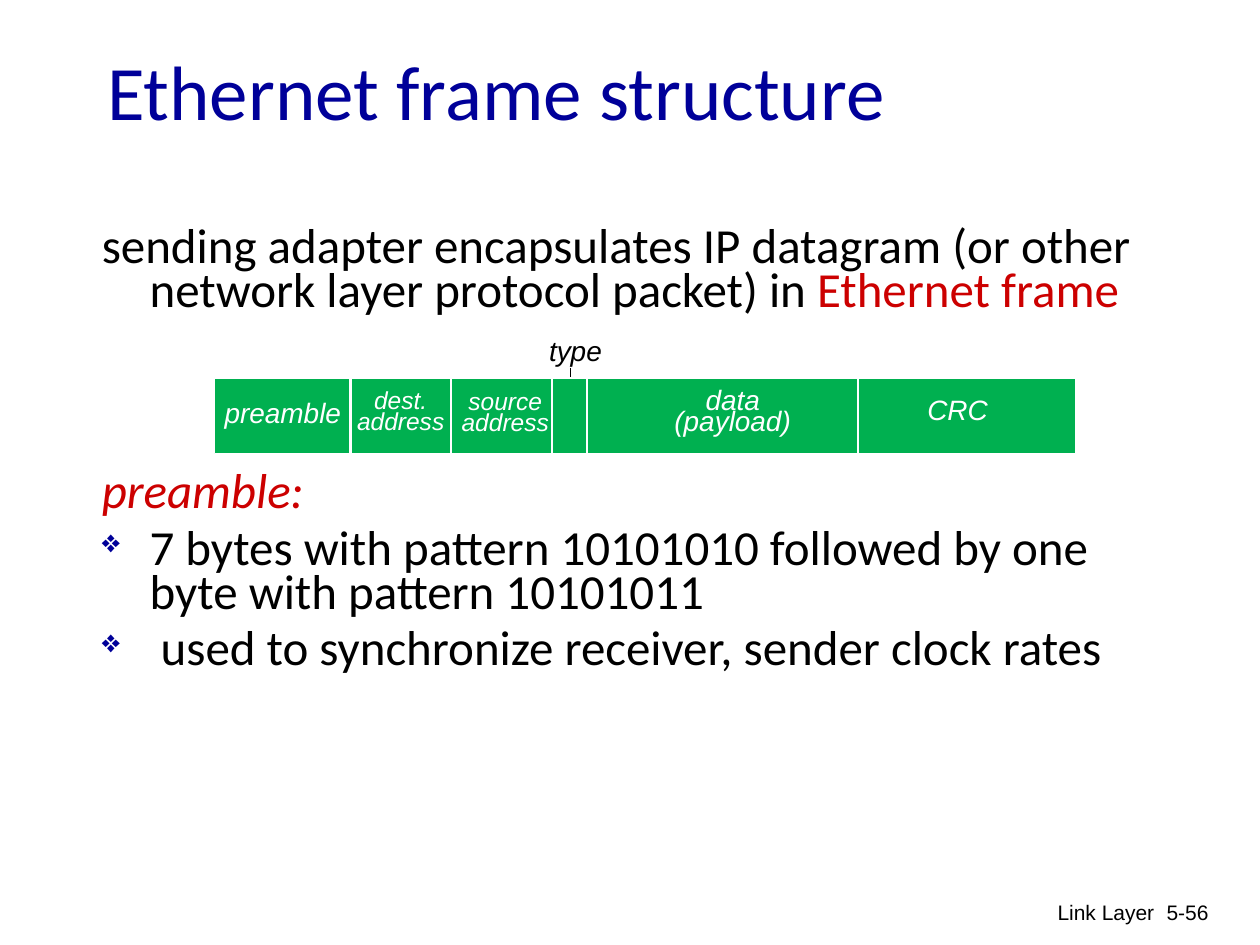
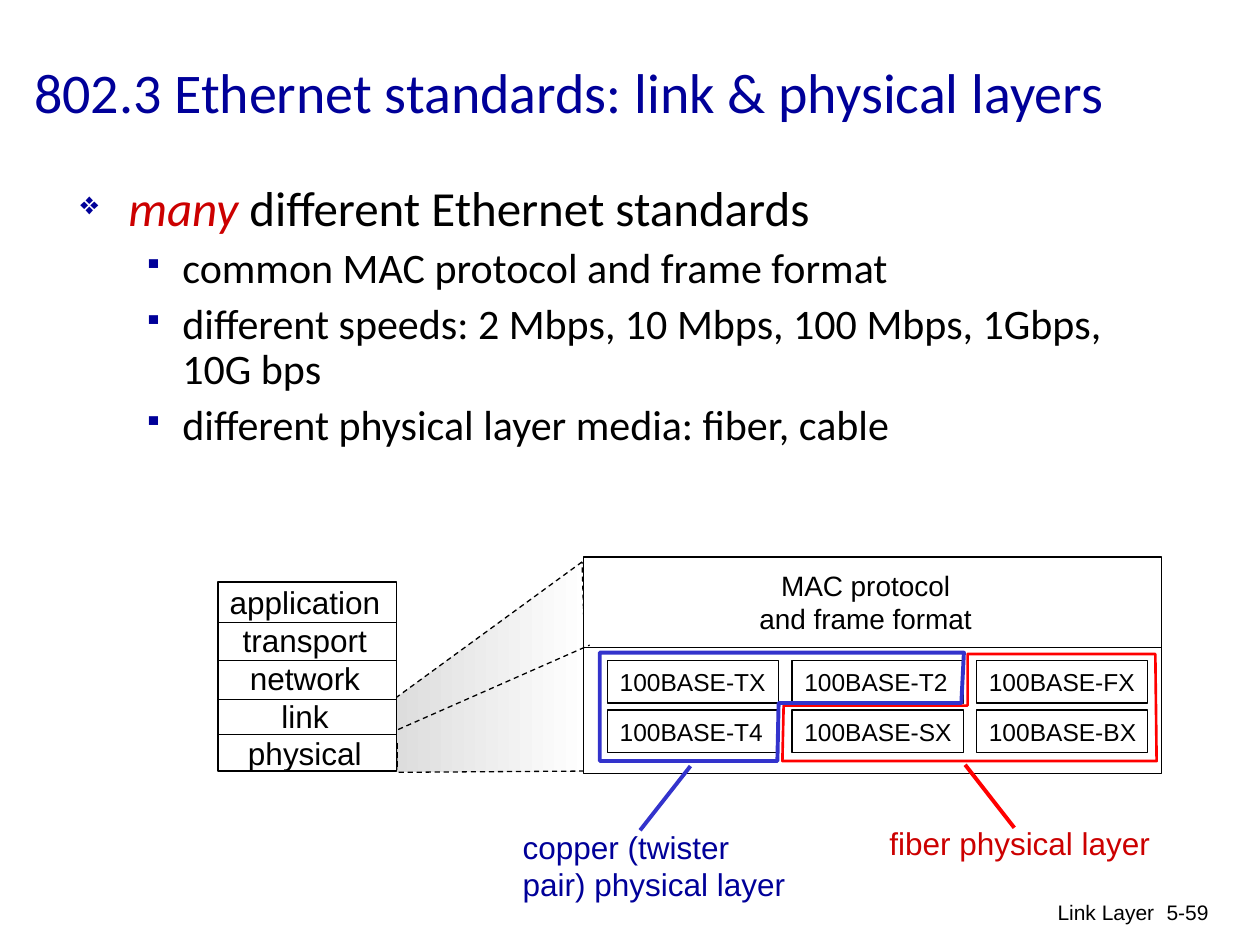
from lxml.etree import SubElement
from pptx import Presentation
from pptx.dml.color import RGBColor
from pptx.enum.dml import MSO_LINE_DASH_STYLE as Dash
from pptx.enum.shapes import MSO_CONNECTOR as Connector, MSO_SHAPE as Shape
from pptx.enum.text import MSO_ANCHOR as Anchor, PP_ALIGN as Align
from pptx.oxml.ns import qn
from pptx.util import Emu, Inches, Pt

COLUMNS, ROWS = 100, 75
NAVY, RED, BLACK, WHITE = "000099", "CC0000", "000000", "FFFFFF"
GREEN, FIBER, COPPER = "00B050", "FF0000", "3333CC"
BULLETS = {0: ("❖", 0.38, 0.38), 1: ("▪", 0.81, 0.31)}


def color(hex_code):
    return RGBColor.from_string(hex_code)


def set_indent(paragraph, margin, hanging):
    properties = paragraph._p.get_or_add_pPr()
    properties.set("marL", str(Inches(margin)))
    properties.set("indent", str(-Inches(hanging)))
    return properties


def add_bullet(paragraph, level):
    mark, margin, hanging = BULLETS[level]
    properties = set_indent(paragraph, margin, hanging)
    bullet_color = SubElement(properties, qn("a:buClr"))
    SubElement(bullet_color, qn("a:srgbClr"), val=NAVY)
    SubElement(properties, qn("a:buSzPct"), val="65000")
    SubElement(properties, qn("a:buChar"), char=mark)
    paragraph.level = level


def write(frame, paragraphs, size=16, font="Arial", ink=BLACK, italic=False,
          align=Align.LEFT, spacing=None, before=0, levels=None, hanging=0, wrap=True):
    """Fill a frame; a paragraph is a string or a list of (text, ink, italic) runs."""
    frame.word_wrap = wrap
    for index, content in enumerate(paragraphs):
        paragraph = frame.add_paragraph() if index else frame.paragraphs[0]
        level = levels[index] if levels else None
        if level is not None:
            add_bullet(paragraph, level)
        elif hanging:
            set_indent(paragraph, hanging, hanging)
        paragraph.alignment = align
        paragraph.space_before = Pt(before - (level or 0) if index else 0)
        if spacing:
            paragraph.line_spacing = spacing
        runs = [(content, ink, italic)] if isinstance(content, str) else content
        for words, run_ink, run_italic in runs:
            run = paragraph.add_run()
            run.text = words
            run.font.name = font
            run.font.size = Pt(size - 4 if level else size)
            run.font.italic = run_italic
            run.font.color.rgb = color(run_ink)


class Deck:
    """Places elements on the current slide; positions are grid columns and rows."""

    def __init__(self):
        self.show = Presentation()
        self.show.slide_width, self.show.slide_height = Inches(10), Inches(7.5)
        self.slide = None

    def x(self, columns):
        return Emu(round(self.show.slide_width * columns / COLUMNS))

    def y(self, rows):
        return Emu(round(self.show.slide_height * rows / ROWS))

    def box(self, left, top, width, height):
        return self.x(left), self.y(top), self.x(width), self.y(height)

    def new_slide(self, title, area, size, number):
        self.slide = self.show.slides.add_slide(self.show.slide_layouts[5])
        heading = self.slide.shapes.title
        heading.left, heading.top, heading.width, heading.height = self.box(*area)
        heading.text_frame.vertical_anchor = Anchor.MIDDLE
        write(heading.text_frame, [title], size=size, font="Calibri", ink=NAVY)
        self.text(["Link Layer"], 60.9, 70.9, 31.7, 5, size=12, align=Align.RIGHT)
        self.text([number], 89.5, 70.9, 7.4, 5, size=12, align=Align.RIGHT)

    def text(self, paragraphs, left, top, width, height, **style):
        area = self.slide.shapes.add_textbox(*self.box(left, top, width, height))
        write(area.text_frame, paragraphs, **style)

    def body(self, paragraphs, left, top, width, height, **style):
        self.text(paragraphs, left, top, width, height, size=28, font="Calibri",
                  before=7, hanging=0.38, **style)

    def outline(self, shape, ink, weight, fill=None, dashed=False):
        shape.shadow.inherit = False
        if fill:
            shape.fill.solid()
            shape.fill.fore_color.rgb = color(fill)
        else:
            shape.fill.background()
        self.stroke(shape.line, ink, weight, dashed)

    def stroke(self, line, ink, weight, dashed):
        line.color.rgb = color(ink)
        line.width = Pt(weight)
        if dashed:
            line.dash_style = Dash.DASH

    def rect(self, left, top, width, height, fill=None, ink=BLACK, label=None, **style):
        shape = self.slide.shapes.add_shape(Shape.RECTANGLE, *self.box(left, top, width, height))
        self.outline(shape, ink, 0.75, fill)
        if label:
            write(shape.text_frame, [label], **style)

    def line(self, start, end, ink=BLACK, weight=0.75, dashed=False):
        link = self.slide.shapes.add_connector(
            Connector.STRAIGHT, self.x(start[0]), self.y(start[1]), self.x(end[0]), self.y(end[1]))
        self.stroke(link.line, ink, weight, dashed)
        SubElement(link._element.spPr, qn("a:effectLst"))

    def polygon(self, points, ink=BLACK, weight=0.75, dashed=False, gradient=None):
        corners = [(self.x(column), self.y(row)) for column, row in points]
        builder = self.slide.shapes.build_freeform(*corners[0])
        builder.add_line_segments(corners[1:], close=True)
        shape = builder.convert_to_shape()
        self.outline(shape, ink, weight, dashed=dashed)
        if gradient:
            shape.fill.gradient()
            shape.fill.gradient_angle = 0
            for stop, shade in zip(shape.fill.gradient_stops, gradient):
                stop.color.rgb = color(shade)


def frame_structure(deck):
    deck.new_slide("Ethernet frame structure", (7.5, 3.8, 85, 6.7), 44, "5-56")
    deck.body([[("sending adapter encapsulates IP datagram (or other network layer "
                 "protocol packet) in ", BLACK, False), ("Ethernet frame", RED, False)]],
              7.1, 17.6, 85, 8, spacing=0.75)
    deck.body([[("preamble:", RED, True)],
               "7 bytes with pattern 10101010 followed by one byte with pattern 10101011",
               " used to synchronize receiver, sender clock rates"],
              7.1, 37.1, 85, 18, spacing=0.75, levels=[None, 0, 0])

    deck.line((45.3, 29.2), (45.3, 31.4))
    deck.rect(17, 30, 68.4, 6, fill=GREEN, ink=WHITE)
    for border in (27.8, 35.8, 43.8, 46.6, 68.1):
        deck.line((border, 30), (border, 36), ink=WHITE, weight=1.5)
    fields = [
        (["dest.", "address"], (27.2, 30.7, 9.2, 4.4), 14),
        (["source", "address"], (35.5, 30.8, 9.2, 4.4), 14),
        (["data (payload)"], (50.6, 30.9, 15.1, 4.4), 16),
        (["CRC"], (71.3, 31.7, 9.4, 2.7), 16),
        (["preamble"], (16.6, 31.9, 11.7, 2.7), 16),
    ]
    for words, area, size in fields:
        deck.text(words, *area, size=size, ink=WHITE, italic=True,
                  align=Align.CENTER, spacing=Pt(12))
    deck.text(["type"], 42.6, 26, 8.4, 3.7, italic=True)


def ethernet_standards(deck):
    deck.new_slide("802.3 Ethernet standards: link & physical layers",
                   (1.7, 1, 98.3, 12.5), 32, "5-59")
    deck.body([[("many ", RED, True), ("different Ethernet standards", BLACK, False)],
               "common MAC protocol and frame format",
               "different speeds: 2 Mbps, 10 Mbps, 100 Mbps, 1Gbps, 10G bps",
               "different physical layer media: fiber, cable"],
              5.4, 14.1, 85, 23, spacing=0.9, levels=[0, 1, 1, 1])

    deck.polygon([(46.2, 44.6), (31.4, 55.4), (31.5, 61.3), (46.7, 61.2)],
                 dashed=True, gradient=("DDDDDD", WHITE))
    stack_left, stack_right = 17.3, 31.5
    deck.rect(stack_left, 46.2, stack_right - stack_left, 15, fill=WHITE)
    deck.text(["application", "transport", "network", "link", "physical"],
              16.2, 45.8, 16, 16, size=18, align=Align.CENTER, wrap=False)
    for border in (49.4, 52.4, 55.5, 58.3):
        deck.line((stack_left, border), (stack_right, border))
    for side in (stack_left, stack_right):
        deck.line((side, 59), (side, 60.9), dashed=True)

    deck.rect(46.3, 44.2, 45.9, 17.2, fill=WHITE)
    deck.line((46.3, 51.4), (92.2, 51.4))
    deck.text(["MAC protocol", "and frame format"], 58.2, 44.6, 21, 6.4,
              align=Align.CENTER, wrap=False)
    deck.line((31.6, 57.9), (46.8, 51.2), dashed=True)

    standards = [("TX", "T2", "FX"), ("T4", "SX", "BX")]
    for row, media in enumerate(standards):
        for column, medium in enumerate(media):
            deck.rect(48.2 + 14.65 * column, 52.4 + 3.95 * row, 13.6, 3.4,
                      label=f"100BASE-{medium}", size=14, wrap=False)

    deck.polygon([(76.8, 51.9), (76.8, 56), (62.2, 56), (62.1, 60.4), (91.8, 60.4), (91.7, 51.9)],
                 ink=FIBER, weight=1.5)
    deck.line((76.6, 60.7), (80.5, 65.7), ink=FIBER, weight=2.25)
    deck.text(["fiber physical layer"], 69.6, 64.9, 25, 4, size=18, ink=RED)

    deck.polygon([(76.5, 51.8), (76.3, 55.8), (61.8, 55.8), (61.7, 60.4), (47.6, 60.4), (47.6, 51.8)],
                 ink=COPPER, weight=2.25)
    deck.line((54.8, 60.8), (50.8, 65.9), ink=COPPER, weight=2.25)
    deck.text(["copper (twister", "pair) physical layer"], 40.5, 65.2, 25, 7,
              size=18, ink=NAVY)


def main():
    deck = Deck()
    frame_structure(deck)
    ethernet_standards(deck)
    deck.show.save("out.pptx")


if __name__ == "__main__":
    main()
